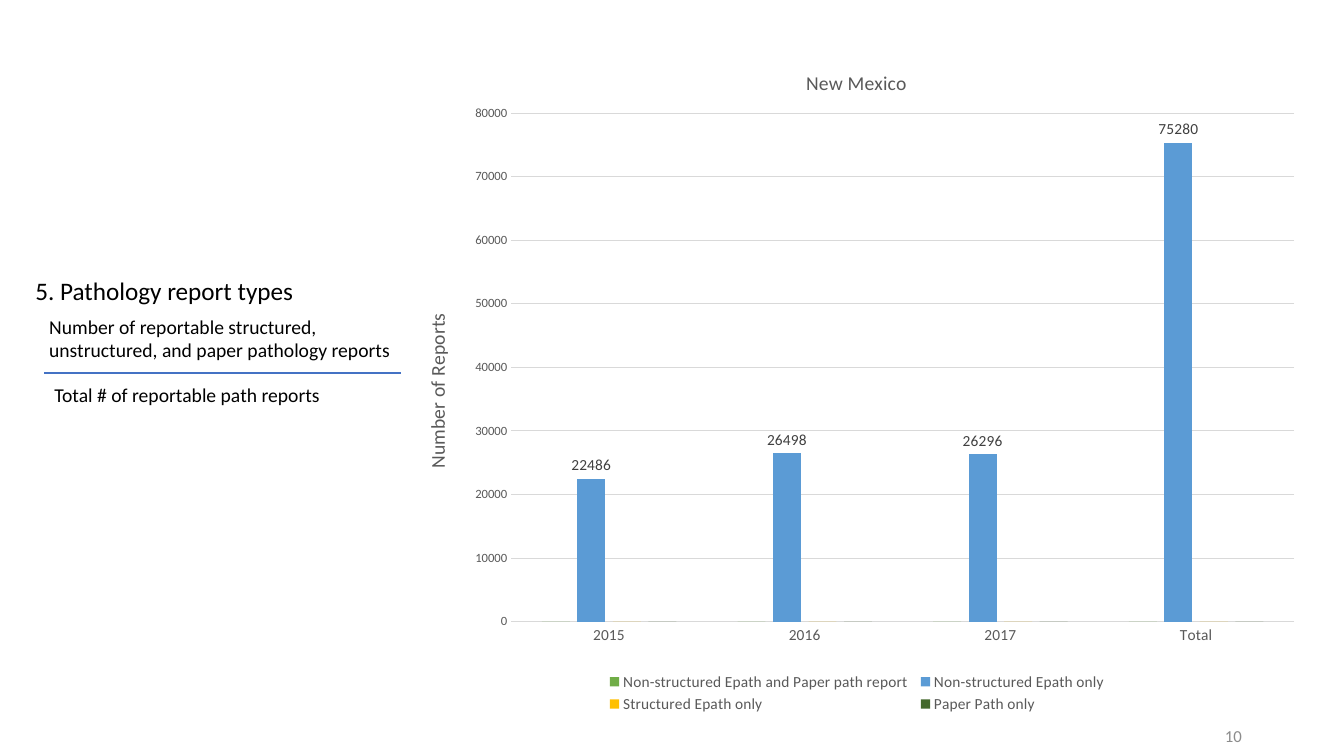
from dataclasses import dataclass

from lxml import etree
from pptx import Presentation
from pptx.chart.data import CategoryChartData
from pptx.dml.color import RGBColor
from pptx.enum.chart import XL_CHART_TYPE, XL_LABEL_POSITION, XL_LEGEND_POSITION, XL_TICK_MARK
from pptx.enum.shapes import MSO_CONNECTOR
from pptx.enum.text import MSO_ANCHOR, PP_ALIGN
from pptx.oxml.ns import qn
from pptx.util import Cm, Pt

COLUMNS = XL_CHART_TYPE.COLUMN_CLUSTERED
OUTSIDE_END = XL_LABEL_POSITION.OUTSIDE_END
LEGEND_BOTTOM = XL_LEGEND_POSITION.BOTTOM
NO_TICK = XL_TICK_MARK.NONE
STRAIGHT = MSO_CONNECTOR.STRAIGHT
TOP, MIDDLE = MSO_ANCHOR.TOP, MSO_ANCHOR.MIDDLE
LEFT, RIGHT = PP_ALIGN.LEFT, PP_ALIGN.RIGHT

BLACK = RGBColor(0x00, 0x00, 0x00)
PAGE_GRAY = RGBColor(0x8C, 0x8C, 0x8C)
AXIS_GRAY = RGBColor(0x59, 0x59, 0x59)
LABEL_GRAY = RGBColor(0x40, 0x40, 0x40)
GRID_GRAY = RGBColor(0xD9, 0xD9, 0xD9)
RULE_BLUE = RGBColor(0x44, 0x72, 0xC4)
GREEN = RGBColor(0x70, 0xAD, 0x47)
BLUE = RGBColor(0x5B, 0x9B, 0xD5)
GOLD = RGBColor(0xFF, 0xC0, 0x00)
DARK_GREEN = RGBColor(0x43, 0x68, 0x2B)

FONT = "Calibri"
NUMBER_FORMAT = "#######0"
YEARS = ("2015", "2016", "2017", "Total")


@dataclass(frozen=True)
class Label:
    text: str
    left: float
    top: float
    width: float
    height: float
    size: int
    color: RGBColor = BLACK
    align: PP_ALIGN = LEFT
    anchor: MSO_ANCHOR = TOP


@dataclass(frozen=True)
class ReportType:
    name: str
    counts: tuple[int, ...]
    color: RGBColor
    labelled: bool = False


LABELS = (
    Label("5. Pathology report types", 0.64, 6.81, 8.13, 1.8, 18),
    Label("Number of reportable structured, unstructured, and paper pathology reports",
          0.99, 7.8, 9.14, 1.45, 14),
    Label("Total # of reportable path reports", 1.12, 9.53, 7.65, 0.86, 14),
    Label("10", 23.93, 18.03, 7.62, 1.02, 12, PAGE_GRAY, RIGHT, MIDDLE),
)

REPORT_TYPES = (
    ReportType("Non-structured Epath and Paper path report", (0, 0, 0, 0), GREEN),
    ReportType("Non-structured Epath only", (22486, 26498, 26296, 75280), BLUE, True),
    ReportType("Structured Epath only", (0, 0, 0, 0), GOLD),
    ReportType("Paper Path only", (0, 0, 0, 0), DARK_GREEN),
)


def style_font(font, size: int, color: RGBColor) -> None:
    font.name = FONT
    font.size = Pt(size)
    font.bold = False
    font.color.rgb = color


def add_label(page, label: Label) -> None:
    box = page.shapes.add_textbox(Cm(label.left), Cm(label.top), Cm(label.width), Cm(label.height))
    frame = box.text_frame
    frame.word_wrap = True
    frame.vertical_anchor = label.anchor
    frame.text = label.text
    paragraph = frame.paragraphs[0]
    paragraph.alignment = label.align
    style_font(paragraph.runs[0].font, label.size, label.color)


def add_fraction_rule(page) -> None:
    rule = page.shapes.add_connector(STRAIGHT, Cm(1.12), Cm(9.4), Cm(10.11), Cm(9.4))
    rule.line.color.rgb = RULE_BLUE
    rule.line.width = Pt(1.5)
    etree.SubElement(rule._element.spPr, qn("a:effectLst"))


def place(element, index: int, **settings: str | float) -> None:
    for previous in element.findall(qn("c:layout")):
        element.remove(previous)
    layout = etree.Element(qn("c:layout"))
    manual = etree.SubElement(layout, qn("c:manualLayout"))
    for tag, value in settings.items():
        etree.SubElement(manual, qn(f"c:{tag}")).set("val", str(value))
    element.insert(index, layout)


def set_title(title, text: str, left: float, top: float) -> None:
    title.text_frame.text = text
    style_font(title.text_frame.paragraphs[0].runs[0].font, 14, AXIS_GRAY)
    place(title._element, 1, xMode="edge", yMode="edge", x=left, y=top)


def style_axes(chart) -> None:
    years, reports = chart.category_axis, chart.value_axis
    for axis, size in ((years, 11), (reports, 9)):
        axis.major_tick_mark = axis.minor_tick_mark = NO_TICK
        style_font(axis.tick_labels.font, size, AXIS_GRAY)
    years.format.line.color.rgb = GRID_GRAY
    years.format.line.width = Pt(0.75)
    reports.format.line.fill.background()
    reports.minimum_scale, reports.maximum_scale, reports.major_unit = 0, 80000, 10000
    reports.tick_labels.number_format = NUMBER_FORMAT
    reports.tick_labels.number_format_is_linked = False
    reports.major_gridlines.format.line.color.rgb = GRID_GRAY
    reports.major_gridlines.format.line.width = Pt(0.75)
    set_title(reports.axis_title, "Number of Reports", 0.02, 0.4)
    body = reports.axis_title.text_frame._txBody.find(qn("a:bodyPr"))
    body.set("rot", "-5400000")
    body.set("vert", "horz")


def style_series(series, report_type: ReportType) -> None:
    series.format.fill.solid()
    series.format.fill.fore_color.rgb = report_type.color
    series.invert_if_negative = False
    if report_type.labelled:
        labels = series.data_labels
        labels.show_value = True
        labels.position = OUTSIDE_END
        labels.number_format = NUMBER_FORMAT
        labels.number_format_is_linked = False
        style_font(labels.font, 11, LABEL_GRAY)


def add_report_chart(page) -> None:
    data = CategoryChartData(number_format=NUMBER_FORMAT)
    data.categories = YEARS
    for report_type in REPORT_TYPES:
        data.add_series(report_type.name, report_type.counts)
    chart = page.shapes.add_chart(COLUMNS, Cm(10.13), Cm(0.97), Cm(22.94), Cm(17.09), data).chart
    style_font(chart.font, 10, BLACK)
    chart.has_title = True
    set_title(chart.chart_title, "New Mexico", 0.44, 0.04)
    style_axes(chart)
    plot = chart.plots[0]
    plot.vary_by_categories = False
    plot.gap_width = 219
    plot.overlap = -27
    for series, report_type in zip(plot.series, REPORT_TYPES):
        style_series(series, report_type)
    chart.has_legend = True
    chart.legend.position = LEGEND_BOTTOM
    chart.legend.include_in_layout = False
    style_font(chart.legend.font, 11, AXIS_GRAY)
    place(chart.legend._element, 1, xMode="edge", yMode="edge", x=0.22, y=0.93, w=0.56, h=0.07)
    place(chart._chartSpace.chart.plotArea, 0, layoutTarget="inner",
          xMode="edge", yMode="edge", x=0.12, y=0.11, w=0.86, h=0.75)


def main() -> None:
    deck = Presentation()
    deck.slide_width, deck.slide_height = Cm(33.87), Cm(19.05)
    page = deck.slides.add_slide(deck.slide_layouts[6])
    for label in LABELS:
        add_label(page, label)
    add_fraction_rule(page)
    add_report_chart(page)
    deck.save("out.pptx")


if __name__ == "__main__":
    main()
